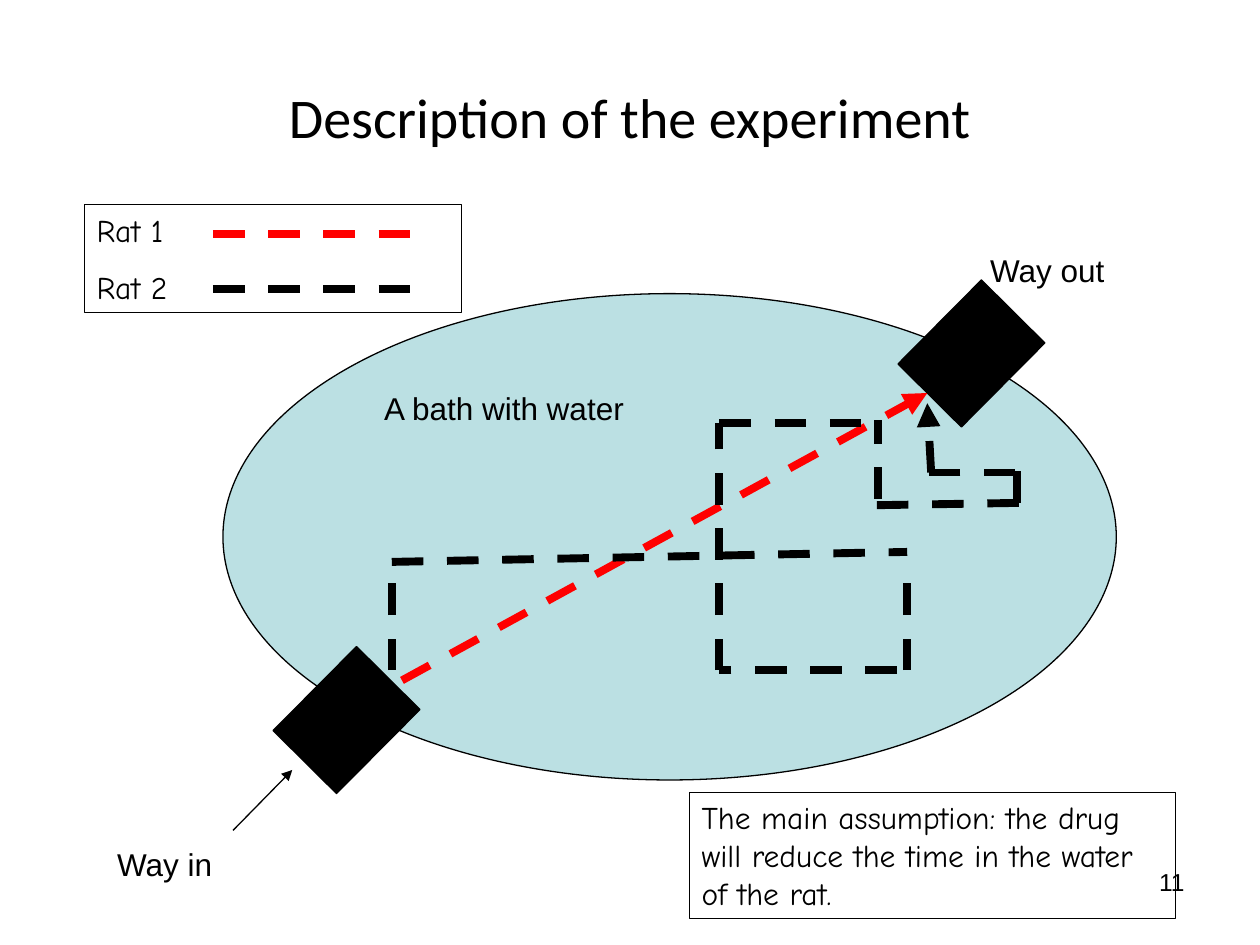
from dataclasses import dataclass

from lxml import etree
from pptx import Presentation
from pptx.dml.color import RGBColor
from pptx.enum import dml, shapes, text
from pptx.oxml import ns
from pptx.util import Pt

HUES = {"ink": "000000", "red": "FF0000", "water": "BBE0E3"}
THICK, THIN, HAIR = 4.5, 0.75, 0.25


@dataclass
class Box:
    left: float
    top: float
    width: float
    height: float


@dataclass
class Line:
    x1: float
    y1: float
    x2: float
    y2: float
    hue: str = "ink"
    width: float = THICK
    dash: bool = True
    arrow: bool = False


@dataclass
class Note:
    box: Box
    words: tuple[str, ...]
    font: str = "Arial"
    size: float = 18
    framed: bool = False
    align: text.PP_ALIGN = text.PP_ALIGN.LEFT


def color(name: str) -> RGBColor:
    return RGBColor.from_string(HUES[name])


def place(item, box: Box) -> None:
    item.left, item.top = Pt(box.left), Pt(box.top)
    item.width, item.height = Pt(box.width), Pt(box.height)


def write(frame, *words: str, font="Arial", size=18.0, hue="ink",
          align=text.PP_ALIGN.LEFT, anchor=text.MSO_ANCHOR.TOP, gap=11.2) -> None:
    """Fill a text frame, one paragraph for each string."""
    frame.word_wrap = True
    frame.vertical_anchor = anchor
    for i, line in enumerate(words):
        para = frame.add_paragraph() if i else frame.paragraphs[0]
        para.text = line
        para.alignment = align
        para.space_before = Pt(gap if i else 0)
        para.font.name, para.font.size = font, Pt(size)
        para.font.color.rgb = color(hue)


def add_shape(slide, kind, box: Box, hue: str, turn: float = 0) -> None:
    item = slide.shapes.add_shape(kind, 0, 0, 0, 0)
    place(item, box)
    item.rotation = turn
    item.shadow.inherit = False
    item.fill.solid()
    item.fill.fore_color.rgb = color(hue)
    item.line.color.rgb = color("ink")
    item.line.width = Pt(THIN)


def add_line(slide, line: Line) -> None:
    ends = map(Pt, (line.x1, line.y1, line.x2, line.y2))
    item = slide.shapes.add_connector(shapes.MSO_CONNECTOR.STRAIGHT, *ends)
    item.line.color.rgb = color(line.hue)
    item.line.width = Pt(line.width)
    if line.dash:
        item.line.dash_style = dml.MSO_LINE.DASH
    if line.arrow:
        etree.SubElement(item.line._get_or_add_ln(), ns.qn("a:tailEnd"), type="triangle")
    etree.SubElement(item._element.spPr, ns.qn("a:effectLst"))


def add_note(slide, note: Note) -> None:
    item = slide.shapes.add_textbox(0, 0, 0, 0)
    place(item, note.box)
    if note.framed:
        item.line.color.rgb = color("ink")
        item.line.width = Pt(HAIR)
    write(item.text_frame, *note.words, font=note.font, size=note.size, align=note.align)


BATH = Box(127.4, 167.8, 510.5, 277.9)
DOORS = [Box(164.2, 385.9, 67.7, 51.1), Box(521.3, 176.4, 67.7, 51.1)]
ENTRY = Line(133.2, 474.5, 167, 440, width=THIN, dash=False, arrow=True)

LABELS = [
    Note(Box(558.7, 139.7, 85, 28.8), ("Way out",)),
    Note(Box(59.8, 479.5, 108, 28.8), ("Way in",)),
    Note(Box(212.4, 218.9, 158.4, 28.8), ("A bath with water",)),
]
ROUTES = [
    Line(229.7, 388.8, 529.9, 224.6, "red", arrow=True),
    Line(223.9, 383, 223.9, 321.1),
    Line(223.9, 321.1, 518.4, 315.4),
    Line(518.4, 383, 518.4, 321.1),
    Line(512.6, 383, 411.1, 383),
    Line(411.1, 383, 411.1, 241.9),
    Line(411.1, 241.9, 496.1, 241.9),
    Line(501.8, 285.1, 501.8, 239.8),
    Line(501.1, 288.7, 586.8, 287.3),
    Line(581, 287.3, 581, 264.2),
    Line(580.3, 270, 523.4, 270),
    Line(532.1, 270, 529.9, 230.4, arrow=True),
]
FRAMES = [
    Note(Box(393.8, 452.5, 278, 72),
         ("The main assumption: the drug will reduce the time in the water of the rat.",),
         "Comic Neue", framed=True),
    Note(Box(48.2, 116.8, 215.5, 61.8), ("Rat 1", "Rat 2"), "Comic Neue", framed=True),
]
KEYS = [Line(121.7, y, 241.2, y, hue) for y, hue in ((133.7, "red"), (164.9, "ink"))]
NUMBER = Note(Box(516.2, 491.8, 167.8, 37.4), ("11",), size=14, align=text.PP_ALIGN.RIGHT)


def main() -> None:
    deck = Presentation()
    deck.slide_width, deck.slide_height = Pt(720), Pt(540)
    slide = deck.slides.add_slide(deck.slide_layouts[5])

    title = slide.shapes.title
    place(title, Box(36, 21.6, 648, 90))
    write(title.text_frame, "Description of the experiment", font="Calibri", size=32,
          align=text.PP_ALIGN.CENTER, anchor=text.MSO_ANCHOR.MIDDLE)

    add_shape(slide, shapes.MSO_SHAPE.OVAL, BATH, "water")
    for door in DOORS:
        add_shape(slide, shapes.MSO_SHAPE.RECTANGLE, door, "ink", turn=314.8)
    add_line(slide, ENTRY)
    for label in LABELS:
        add_note(slide, label)
    for route in ROUTES:
        add_line(slide, route)
    for frame in FRAMES:
        add_note(slide, frame)
    for key in KEYS:
        add_line(slide, key)
    add_note(slide, NUMBER)
    deck.save("out.pptx")


if __name__ == "__main__":
    main()
